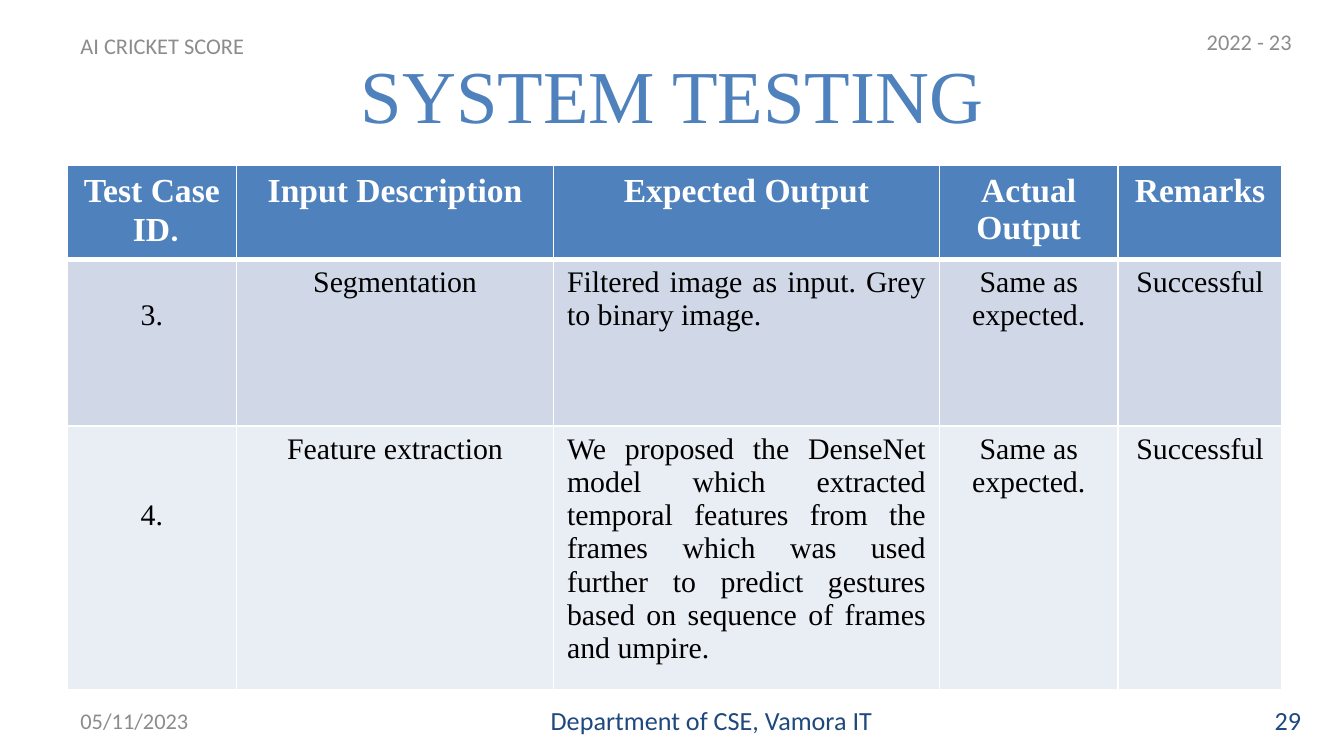
from dataclasses import dataclass

from lxml import etree
from pptx import Presentation, util as u
from pptx.dml.color import RGBColor
from pptx.enum import text
from pptx.oxml import ns


@dataclass(frozen=True)
class Theme:
    """Fonts, colours and type sizes of the slide."""
    sans: str = "Calibri"
    serif: str = "Times New Roman"
    accent: str = "4F81BD"
    navy: str = "1F497D"
    grey: str = "8C8C8C"
    white: str = "FFFFFF"
    black: str = "000000"
    bands: tuple = ("D0D8E8", "E9EDF4")
    title: int = 40
    heading: int = 18
    body: int = 16
    footer: int = 14
    label: int = 12


THEME = Theme()
CENTER, LEFT = text.PP_ALIGN.CENTER, text.PP_ALIGN.LEFT
RIGHT, JUSTIFY = text.PP_ALIGN.RIGHT, text.PP_ALIGN.JUSTIFY
COLUMN_WIDTHS = (1.26, 2.36, 2.87, 1.33, 1.22)
ROW_HEIGHTS = (0.7, 1.24, 1.94)
BODY_LINE = 0.245
HEADINGS = ("Test Case  ID", "Input Description", "Expected Output",
            "Actual Output", "Remarks")
TEST_CASES = (
    ("3.", "Segmentation",
     "Filtered image as input. Grey to binary image. ",
     "Same as expected.", "Successful"),
    ("4.", "Feature extraction",
     "We proposed the DenseNet model which extracted temporal features from "
     "the frames which was used further to predict gestures based on "
     "sequence of frames and umpire.",
     "Same as expected.", "Successful"),
)


def add_run(paragraph, words, size, color, font, bold=False):
    """Append one styled run to a paragraph."""
    run = paragraph.add_run()
    run.text = words
    run.font.name = font
    run.font.size = u.Pt(size)
    run.font.bold = bold
    run.font.color.rgb = RGBColor.from_string(color)


def add_label(slide, box, words, size, color, align=LEFT, font=THEME.sans):
    """Add a vertically centred single-line text box."""
    label = slide.shapes.add_textbox(*map(u.Inches, box))
    frame = label.text_frame
    frame.word_wrap = True
    frame.vertical_anchor = text.MSO_ANCHOR.MIDDLE
    paragraph = frame.paragraphs[0]
    paragraph.alignment = align
    add_run(paragraph, words, size, color, font)


def set_borders(cell, bottom):
    """Draw white cell borders, with the given bottom width in points."""
    properties = cell._tc.get_or_add_tcPr()
    widths = {"lnL": 1, "lnR": 1, "lnT": 1, "lnB": bottom}
    for position, (side, width) in enumerate(widths.items()):
        line = etree.Element(ns.qn(f"a:{side}"), w=str(u.Pt(width)))
        fill = etree.SubElement(line, ns.qn("a:solidFill"))
        etree.SubElement(fill, ns.qn("a:srgbClr"), val=THEME.white)
        properties.insert(position, line)


def prepare_cell(cell, color, align, bottom=1):
    """Fill and border a cell, and return its aligned paragraph."""
    cell.fill.solid()
    cell.fill.fore_color.rgb = RGBColor.from_string(color)
    set_borders(cell, bottom)
    paragraph = cell.text_frame.paragraphs[0]
    paragraph.alignment = align
    return paragraph


def add_test_table(slide):
    """Add the table of test cases."""
    frame = slide.shapes.add_table(
        len(ROW_HEIGHTS), len(COLUMN_WIDTHS), u.Inches(0.5), u.Inches(1.23),
        u.Inches(sum(COLUMN_WIDTHS)), u.Inches(sum(ROW_HEIGHTS)))
    table = frame.table
    for column, width in zip(table.columns, COLUMN_WIDTHS):
        column.width = u.Inches(width)
    for row, height in zip(table.rows, ROW_HEIGHTS):
        row.height = u.Inches(height)

    for column, heading in enumerate(HEADINGS):
        paragraph = prepare_cell(table.cell(0, column), THEME.accent, CENTER, 3)
        add_run(paragraph, heading, THEME.heading, THEME.white, THEME.serif, True)
        if column == 0:
            add_run(paragraph, ".", THEME.heading, THEME.white, THEME.sans, True)

    for row, (case, band) in enumerate(zip(TEST_CASES, THEME.bands), start=1):
        for column, words in enumerate(case):
            cell = table.cell(row, column)
            align = JUSTIFY if column == 2 else CENTER
            paragraph = prepare_cell(cell, band, align)
            add_run(paragraph, words, THEME.body, THEME.black, THEME.serif)
        table.cell(row, 0).margin_top = u.Inches(0.05 + row * BODY_LINE)


def main():
    """Build and save the system testing slide."""
    deck = Presentation()
    deck.slide_width, deck.slide_height = u.Inches(10), u.Inches(10 * 9 / 16)
    slide = deck.slides.add_slide(deck.slide_layouts[6])
    add_label(slide, (3.42, 5.21, 3.17, 0.3), "Department of CSE, Vamora IT",
              THEME.footer, THEME.navy, RIGHT)
    add_label(slide, (0.5, 0.23, 9, 0.94), "SYSTEM TESTING",
              THEME.title, THEME.accent, CENTER, THEME.serif)
    add_label(slide, (0.5, 0.23, 3.08, 0.22), "AI CRICKET SCORE",
              THEME.label, THEME.grey)
    add_label(slide, (8.88, 0.12, 1.08, 0.38), "2022 - 23",
              THEME.label, THEME.grey)
    add_test_table(slide)
    add_label(slide, (0.5, 5.21, 2.33, 0.3), "05/11/2023",
              THEME.label, THEME.grey)
    add_label(slide, (9.05, 5.21, 0.73, 0.3), "29",
              THEME.footer, THEME.navy, RIGHT)
    deck.save("out.pptx")


if __name__ == "__main__":
    main()
